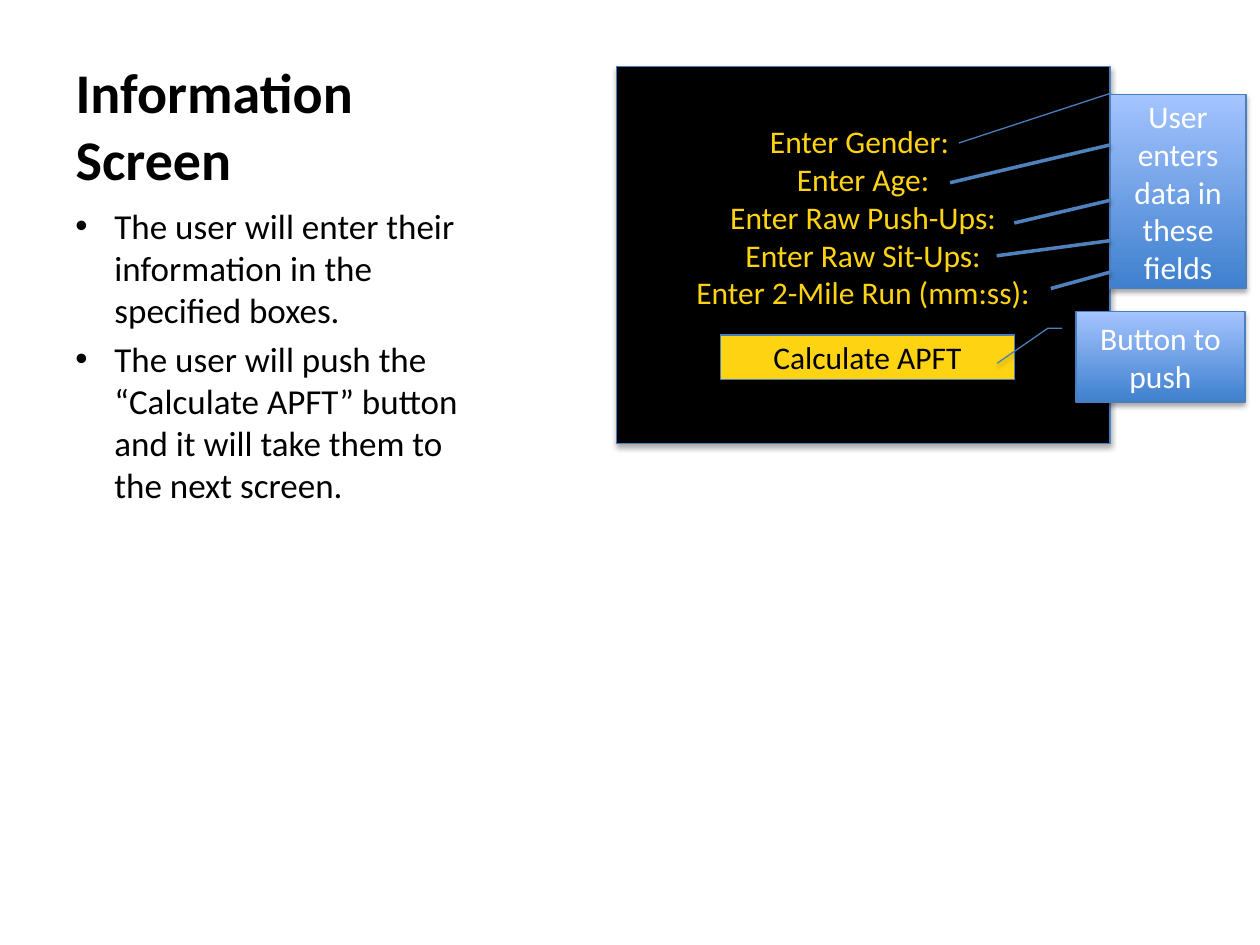
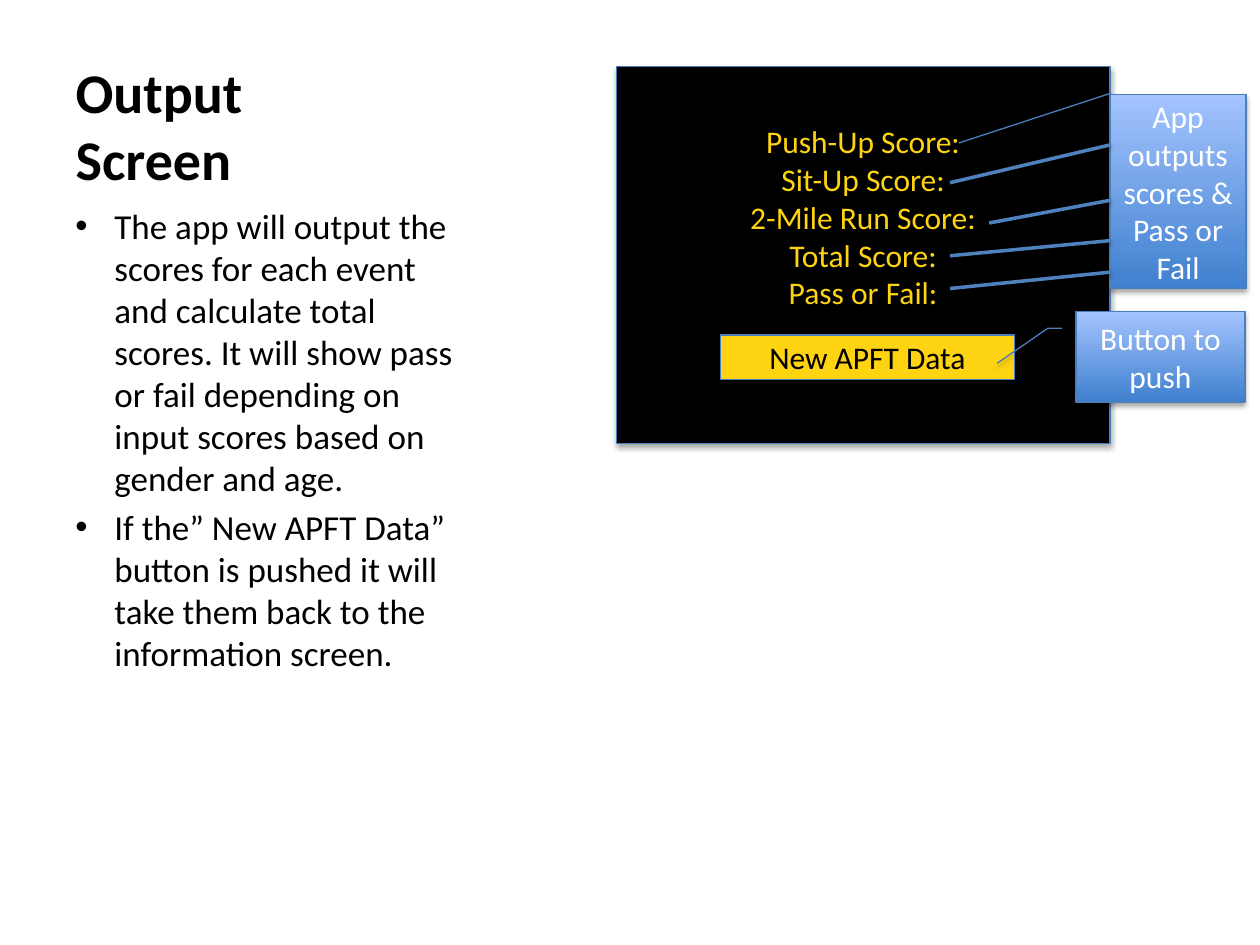
from lxml.etree import SubElement
from pptx import Presentation
from pptx.dml.color import RGBColor
from pptx.enum.shapes import MSO_CONNECTOR, MSO_SHAPE
from pptx.enum.text import MSO_ANCHOR, MSO_AUTO_SIZE, PP_ALIGN
from pptx.oxml.ns import qn
from pptx.util import Inches, Pt

SCREENS = [
    {
        "title": ["Information Screen"],
        "bullets": [
            "The user will enter their information in the specified boxes.",
            "The user will push the “Calculate APFT” button and it will take "
            "them to the next screen.",
        ],
        "fields": ["Enter Gender: ", "Enter Age:", "Enter Raw Push-Ups:",
                   "Enter Raw Sit-Ups:", "Enter 2-Mile Run (mm:ss):"],
        "button": "Calculate APFT",
        "note": "User enters data in these fields",
        "pointer_starts": [7.54, 8.05, 7.91, 8.34],
    },
    {
        "title": ["Output", "Screen"],
        "bullets": [
            "The app will output the scores for each event and calculate total "
            "scores. It will show pass or fail depending on input scores based "
            "on gender and age.",
            "If the” New APFT Data” button is pushed it will take them back to "
            "the information screen.",
        ],
        "fields": ["Push-Up Score:", "Sit-Up Score:", "2-Mile Run Score:",
                   "Total Score:", "Pass or Fail:"],
        "button": "New APFT Data",
        "note": "App outputs scores & Pass or Fail",
        "pointer_starts": [7.54, 7.85, 7.54, 7.54],
    },
]
BUTTON_NOTE = "Button to push"

COLORS = {"text": "000000", "panel": "000000", "gold": "FED412",
          "outline": "4B7EBC", "pointer": "4F81BD", "note_text": "FFFFFF",
          "note_dark": "3F80CE", "note_light": "A4C4FF", "shadow": "000000"}
FONT = "Calibri"

TITLE_BOX = (0.5, 0.3, 3.29, 1.27)
BODY_BOX = (0.5, 1.57, 3.29, 5.13)
PANEL_BOX = (4.89, 0.53, 3.92, 2.99)
BUTTON_BOX = (5.72, 2.66, 2.33, 0.35)
BUTTON_NOTE_BOX = (8.54, 2.47, 1.34, 0.72)
FIELD_NOTE_BOX = (8.81, 0.75, 1.08, 1.54)
BUTTON_NOTE_TAIL = (0.188, -0.083, 0.188, -0.167, 0.574, -0.467)
FIELD_NOTE_TAIL = (-0.007, 0.008, 0.25, -1.111)
POINTER_HEIGHTS = [(1.45, 1.15), (1.77, 1.59), (2.03, 1.91), (2.29, 2.16)]
PANEL_BOTTOM_INSET = 0.66  # lifts the fields clear of the button
BULLET_INDENT = 0.31


def rgb(name):
    return RGBColor.from_string(COLORS[name])


def inches(box):
    return [Inches(value) for value in box]


def style_font(font, color, size, bold=False):
    values = {"name": FONT, "size": Pt(size), "bold": bold}
    for attribute, value in values.items():
        setattr(font, attribute, value)
    font.color.rgb = rgb(color)


def set_frame(frame, anchor):
    values = {"word_wrap": True, "auto_size": MSO_AUTO_SIZE.NONE,
              "vertical_anchor": anchor}
    for attribute, value in values.items():
        setattr(frame, attribute, value)


def add_paragraphs(frame, lines):
    """Fill the frame with one paragraph per line and yield each."""
    for index, line in enumerate(lines):
        para = frame.paragraphs[0] if index == 0 else frame.add_paragraph()
        para.text = line
        yield para


def add_shadow(shape, opacity, distance):
    effects = shape._element.spPr.get_or_add_effectLst() if hasattr(
        shape._element.spPr, "get_or_add_effectLst") else SubElement(
        shape._element.spPr, qn("a:effectLst"))
    shadow = SubElement(effects, qn("a:outerShdw"), blurRad=str(Pt(3.1)),
                        dist=str(Pt(distance)), dir="5400000", rotWithShape="0")
    color = SubElement(shadow, qn("a:srgbClr"), val=COLORS["shadow"])
    SubElement(color, qn("a:alpha"), val=str(opacity * 1000))


def add_block(page, kind, box, lines, text_color, fill=None, tail=()):
    """Add an outlined shape; without a fill colour it gets the note gradient."""
    block = page.shapes.add_shape(kind, *inches(box))
    for index, value in enumerate(tail):
        block.adjustments[index] = value
    if fill:
        block.fill.solid()
        block.fill.fore_color.rgb = rgb(fill)
    else:
        block.fill.gradient()
        block.fill.gradient_angle = 90
        for stop, color in zip(block.fill.gradient_stops,
                               ("note_dark", "note_light")):
            stop.color.rgb = rgb(color)
    block.line.color.rgb = rgb("outline")
    block.line.width = Pt(0.75)
    add_shadow(block, 35, 1.8)
    set_frame(block.text_frame, MSO_ANCHOR.MIDDLE)
    for para in add_paragraphs(block.text_frame, lines):
        para.alignment = PP_ALIGN.CENTER
        style_font(para.runs[0].font, text_color, 18)
    return block


def add_title(page, lines):
    title = page.shapes.title
    title.left, title.top, title.width, title.height = inches(TITLE_BOX)
    set_frame(title.text_frame, MSO_ANCHOR.BOTTOM)
    para = title.text_frame.paragraphs[0]
    para.alignment = PP_ALIGN.LEFT
    for index, line in enumerate(lines):
        if index:
            para.add_line_break()
        span = para.add_run()
        span.text = line
        style_font(span.font, "text", 32, bold=True)


def add_bullets(page, bullets):
    frame = page.shapes.add_textbox(*inches(BODY_BOX)).text_frame
    set_frame(frame, MSO_ANCHOR.TOP)
    for para in add_paragraphs(frame, bullets):
        para.space_before = Pt(4)
        style_font(para.runs[0].font, "text", 20)
        properties = para._p.get_or_add_pPr()
        properties.set("marL", str(Inches(BULLET_INDENT)))
        properties.set("indent", str(-Inches(BULLET_INDENT)))
        SubElement(properties, qn("a:buFont"), typeface="Arial")
        SubElement(properties, qn("a:buChar"), char="•")


def add_pointers(page, starts):
    end = FIELD_NOTE_BOX[0]
    for start, (start_y, end_y) in zip(starts, POINTER_HEIGHTS):
        pointer = page.shapes.add_connector(
            MSO_CONNECTOR.STRAIGHT, *inches((start, start_y, end, end_y)))
        pointer.line.color.rgb = rgb("pointer")
        pointer.line.width = Pt(2)
        add_shadow(pointer, 38, 1.6)


def add_screen(deck, screen):
    page = deck.slides.add_slide(deck.slide_layouts[5])
    add_title(page, screen["title"])
    add_bullets(page, screen["bullets"])
    panel = add_block(page, MSO_SHAPE.RECTANGLE, PANEL_BOX, screen["fields"],
                      "gold", fill="panel")
    panel.text_frame.margin_bottom = Inches(PANEL_BOTTOM_INSET)
    add_block(page, MSO_SHAPE.RECTANGLE, BUTTON_BOX, [screen["button"]],
              "text", fill="gold")
    add_block(page, MSO_SHAPE.LINE_CALLOUT_2, BUTTON_NOTE_BOX, [BUTTON_NOTE],
              "note_text", tail=BUTTON_NOTE_TAIL)
    add_block(page, MSO_SHAPE.LINE_CALLOUT_1, FIELD_NOTE_BOX, [screen["note"]],
              "note_text", tail=FIELD_NOTE_TAIL)
    add_pointers(page, screen["pointer_starts"])


def main():
    deck = Presentation()
    deck.slide_width, deck.slide_height = Inches(10), Inches(7.5)
    for screen in SCREENS:
        add_screen(deck, screen)
    deck.save("out.pptx")


if __name__ == "__main__":
    main()
